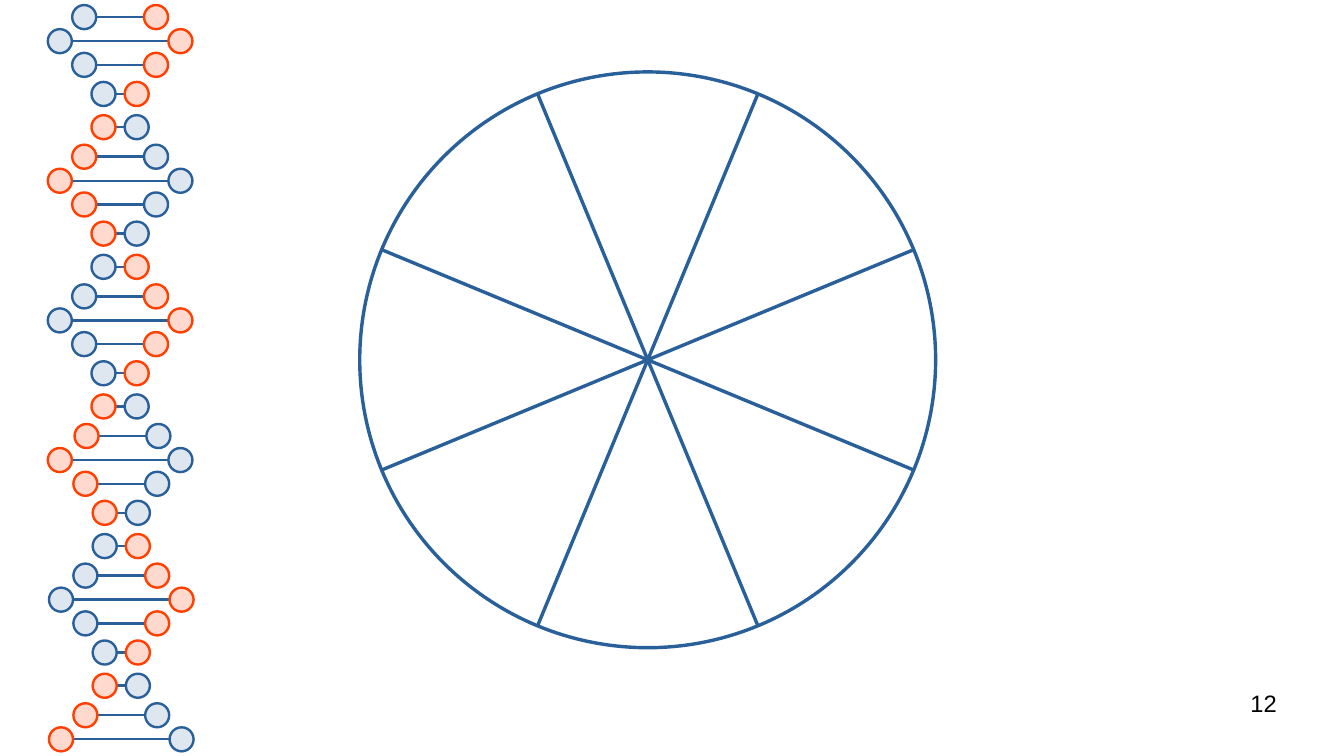
from math import cos, radians, sin

from lxml import etree
from pptx import Presentation
from pptx.dml.color import RGBColor
from pptx.enum import shapes, text
from pptx.oxml import ns
from pptx.util import Pt

BLUE = RGBColor(0x2A, 0x60, 0x99)
PALE_BLUE = RGBColor(0xDE, 0xE6, 0xEF)
RED = RGBColor(0xFF, 0x40, 0x00)
PALE_RED = RGBColor(0xFF, 0xD8, 0xCE)
BLACK = RGBColor(0, 0, 0)

# One half twist of the helix: (drop from its first rung, half width of the rung)
HALF_TWIST = [(0, 21.2), (14.2, 35.6), (28.2, 21.2), (45.4, 9.8), (65, 9.8)]
TWIST_HEIGHT = 82.45
RUNG_COUNT = 27
HELIX_AXIS, HELIX_TOP = 70.9, 10.1
BASE_RADIUS = 7.1

WHEEL_X, WHEEL_Y, WHEEL_RADIUS = 382.4, 212.5, 170
SECTORS = 8


class SlidePainter:
    """Draws on one slide, with all lengths in points."""

    page_number_font = {"name": "Arial", "size": Pt(14)}
    page_number_frame = {"margin_left": 0, "margin_right": 0, "margin_top": 0,
                         "margin_bottom": 0, "word_wrap": True,
                         "vertical_anchor": text.MSO_ANCHOR.TOP}

    def __init__(self, slide):
        self.slide = slide

    @staticmethod
    def apply(target, formats):
        for key, value in formats.items():
            setattr(target, key, value)

    @staticmethod
    def outline(element, color, width):
        element.line.color.rgb = color
        element.line.width = Pt(width)

    def circle(self, x, y, radius, color, width, fill=None):
        disc = self.slide.shapes.add_shape(
            shapes.MSO_SHAPE.OVAL, Pt(x - radius), Pt(y - radius),
            Pt(2 * radius), Pt(2 * radius))
        disc.shadow.inherit = False
        if fill is None:
            disc.fill.background()
        else:
            disc.fill.solid()
            disc.fill.fore_color.rgb = fill
        self.outline(disc, color, width)

    def line(self, x1, y1, x2, y2, width):
        connector = self.slide.shapes.add_connector(
            shapes.MSO_CONNECTOR.STRAIGHT, Pt(x1), Pt(y1), Pt(x2), Pt(y2))
        self.outline(connector, BLUE, width)
        etree.SubElement(connector._element.spPr, ns.qn("a:effectLst"))

    def page_number(self, number, x, y, width, height):
        box = self.slide.shapes.add_textbox(Pt(x), Pt(y), Pt(width), Pt(height))
        self.apply(box.text_frame, self.page_number_frame)
        paragraph = box.text_frame.paragraphs[0]
        paragraph.alignment = text.PP_ALIGN.RIGHT
        run = paragraph.add_run()
        run.text = number
        self.apply(run.font, self.page_number_font)
        run.font.color.rgb = BLACK


def helix_rungs():
    """Yield axis, height, half width and whether the red base is on the left."""
    for index in range(RUNG_COUNT):
        twist, step = divmod(index, len(HALF_TWIST))
        drop, half_width = HALF_TWIST[step]
        # The lower part of the helix sits slightly further right
        shift = 1.4 if index == 15 else 0.7 if index > 16 else 0
        red_left = (index + 1) // len(HALF_TWIST) % 2 == 1
        yield (HELIX_AXIS + shift, HELIX_TOP + twist * TWIST_HEIGHT + drop,
               half_width, red_left)


def draw_helix(painter):
    rungs = list(helix_rungs())
    for axis, y, half_width, _ in rungs:
        reach = half_width - BASE_RADIUS
        painter.line(axis - reach, y, axis + reach, y, 1.42)
    for axis, y, half_width, red_left in rungs:
        red_side = -half_width if red_left else half_width
        painter.circle(axis + red_side, y, BASE_RADIUS, RED, 1.42, PALE_RED)
        painter.circle(axis - red_side, y, BASE_RADIUS, BLUE, 1.42, PALE_BLUE)


def draw_wheel(painter):
    painter.circle(WHEEL_X, WHEEL_Y, WHEEL_RADIUS, BLUE, 2)
    for diameter in range(SECTORS // 2):
        angle = radians((diameter + 0.5) * 360 / SECTORS)
        dx, dy = WHEEL_RADIUS * cos(angle), WHEEL_RADIUS * sin(angle)
        painter.line(WHEEL_X - dx, WHEEL_Y - dy, WHEEL_X + dx, WHEEL_Y + dy, 2)


def main():
    presentation = Presentation()
    presentation.slide_width, presentation.slide_height = Pt(793.44), Pt(446.4)
    painter = SlidePainter(
        presentation.slides.add_slide(presentation.slide_layouts[6]))
    draw_helix(painter)
    draw_wheel(painter)
    painter.page_number("12", 568.8, 406.8, 185, 31)
    presentation.save("out.pptx")


if __name__ == "__main__":
    main()
